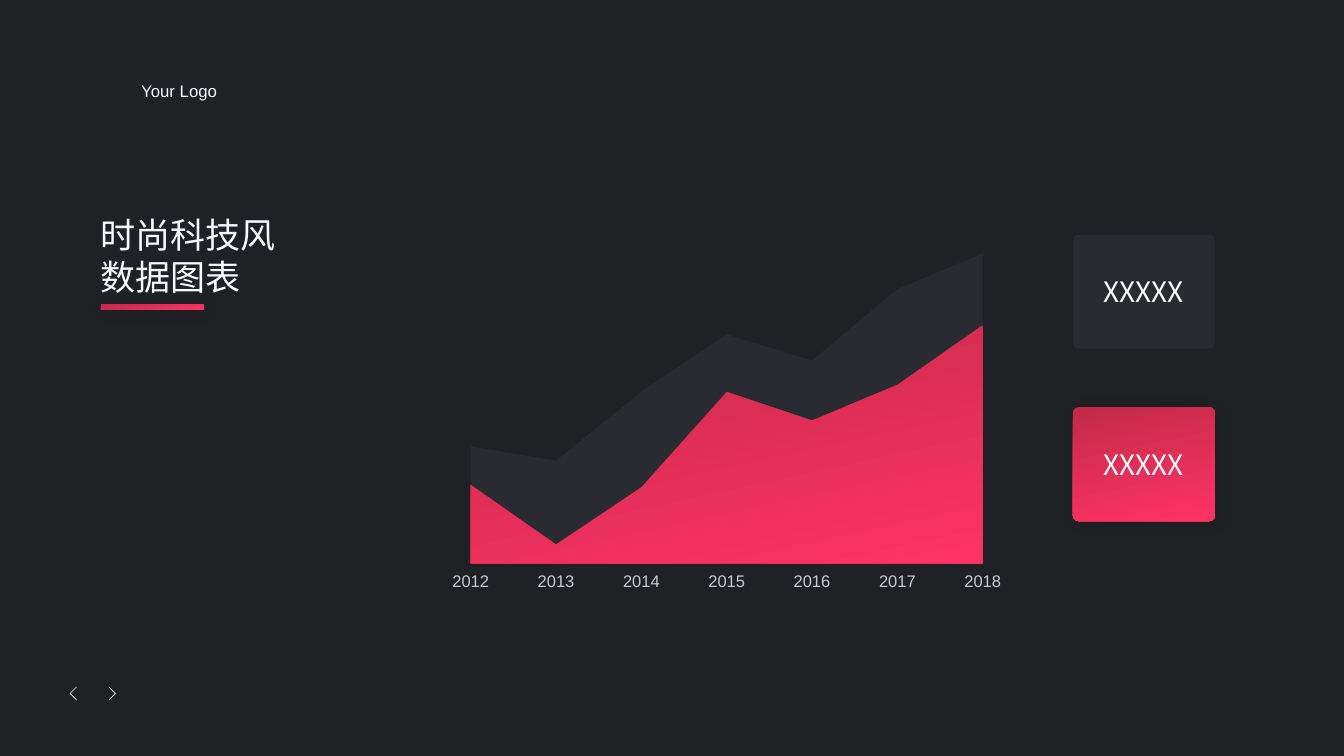
"""Build a dark slide with a stacked area chart, a title and two legend cards."""
from lxml import etree
from pptx import Presentation
from pptx.chart.data import CategoryChartData
from pptx.dml.color import RGBColor
from pptx.enum.chart import XL_CHART_TYPE as CT, XL_TICK_LABEL_POSITION as TLP, XL_TICK_MARK as TM
from pptx.enum.shapes import MSO_SHAPE as SHAPE
from pptx.enum.text import MSO_ANCHOR, MSO_AUTO_SIZE, PP_ALIGN
from pptx.oxml import parse_xml
from pptx.oxml.ns import nsdecls, qn
from pptx.util import Inches, Pt

INK, WHITE, PANEL = "F6F9FF", "FFFFFF", "292B31"
RED = ("C32B48", "FF3266")
CJK = "Noto Sans CJK SC"
SHADOW = (
    f'<a:effectLst {nsdecls("a")}><a:outerShdw blurRad="{Pt(10)}" dist="{Pt(2)}" dir="2700000">'
    '<a:srgbClr val="000000"><a:alpha val="10000"/></a:srgbClr></a:outerShdw></a:effectLst>'
)


def paint(fill, color):
    """Fill with one hex colour, or with a gradient between two."""
    if isinstance(color, str):
        fill.solid()
        fill.fore_color.rgb = RGBColor.from_string(color)
        return
    fill.gradient()
    fill.gradient_angle = 282
    for stop, shade in zip(fill.gradient_stops, color):
        stop.color.rgb = RGBColor.from_string(shade)


def write(tf, lines, size, font, color, align=PP_ALIGN.LEFT):
    """Write lines as paragraphs in a frame without margins."""
    tf.margin_left = tf.margin_right = tf.margin_top = tf.margin_bottom = 0
    for i, line in enumerate(lines):
        p = tf.add_paragraph() if i else tf.paragraphs[0]
        p.alignment = align
        r = p.add_run()
        r.text = line
        p.font.size = Pt(size)
        p.font.name = font
        p.font.color.rgb = RGBColor.from_string(color)
        if font == CJK:
            ea = etree.SubElement(r._r.get_or_add_rPr(), qn("a:ea"))
            ea.set("typeface", font)


prs = Presentation()
prs.slide_width, prs.slide_height = Inches(13.33), Inches(7.5)
s = prs.slides.add_slide(prs.slide_layouts[6])
paint(s.background.fill, "1F2125")

for tail_x, tip_x, thickness in ((0.76, 0.69, 0.01), (1.08, 1.15, -0.01)):
    outline = [(tip_x, 6.88), (tail_x, 6.95), (tail_x, 6.94),
               (tip_x + thickness, 6.88), (tail_x, 6.82)]
    fb = s.shapes.build_freeform(Inches(tail_x), Inches(6.81), scale=1.0)
    fb.add_line_segments([(Inches(x), Inches(y)) for x, y in outline[:1] + outline[1:]])
    sp = fb.convert_to_shape()
    sp.shadow.inherit = False
    paint(sp.fill, INK)
    sp.line.fill.background()

for box, lines, size, font, wrap in (
    ((1.4, 0.8, 0.79, 0.2), ["Your Logo"], 12, "Arial", False),
    ((1, 2.12, 1.87, 0.84), ["时尚科技风", "数据图表"], 25, CJK, True),
):
    tf = s.shapes.add_textbox(*map(Inches, box)).text_frame
    tf.word_wrap = wrap
    tf.auto_size = MSO_AUTO_SIZE.SHAPE_TO_FIT_TEXT
    write(tf, lines, size, font, INK)

for kind, box, color, label in (
    (SHAPE.RECTANGLE, (1, 3.02, 1.02, 0.05), RED, None),
    (SHAPE.ROUNDED_RECTANGLE, (10.64, 4.04, 1.41, 1.13), RED, "XXXXX"),
    (SHAPE.ROUNDED_RECTANGLE, (10.64, 2.33, 1.41, 1.13), PANEL, "XXXXX"),
):
    sp = s.shapes.add_shape(kind, *map(Inches, box))
    paint(sp.fill, color)
    sp.line.fill.background()
    if color == RED:
        sp._element.spPr.append(parse_xml(SHADOW))
    else:
        sp.shadow.inherit = False
    if label:
        sp.adjustments[0] = 0.05
        sp.text_frame.vertical_anchor = MSO_ANCHOR.MIDDLE
        write(sp.text_frame, [label], 20, CJK, WHITE, PP_ALIGN.CENTER)

data = CategoryChartData()
data.categories = [str(year) for year in range(2012, 2019)]
data.add_series("Series 1", (33, 8, 32, 72, 60, 75, 100))
data.add_series("Series 2", (16, 35, 40, 24, 25, 40, 30))
area = map(Inches, (4.42, 1.85, 5.51, 4.06))
chart = s.shapes.add_chart(CT.AREA_STACKED, *area, data).chart
chart.has_title = chart.has_legend = False
chart.font.size = Pt(10)
chart.font.name = "Arial"
plot = chart.plots[0]
plot.vary_by_categories = False
for series, color in zip(plot.series, (RED, PANEL)):
    paint(series.format.fill, color)
    series.format.line.fill.background()

years = chart.category_axis
years.has_major_gridlines = False
years.major_tick_mark = years.minor_tick_mark = TM.NONE
years.tick_label_position = TLP.LOW
years.format.line.fill.background()
font = years.tick_labels.font
font.size = Pt(12)
font.name = "Arial"
font.color.rgb = RGBColor.from_string("C8CBD1")

values = chart.value_axis
values.visible = values.has_major_gridlines = False
values.minimum_scale, values.maximum_scale, values.major_unit = 0, 150, 38
for cross in values._element.iter(qn("c:crossBetween")):
    cross.set("val", "midCat")

plot_area = chart._chartSpace.chart.plotArea
for old in plot_area.findall(qn("c:layout")):
    plot_area.remove(old)
layout = parse_xml(f'<c:layout {nsdecls("c")}><c:manualLayout/></c:layout>')
for tag, val in (("layoutTarget", "inner"), ("xMode", "edge"), ("yMode", "edge"),
                 ("x", "0.046"), ("y", "0.047"), ("w", "0.938"), ("h", "0.874")):
    etree.SubElement(layout[0], qn(f"c:{tag}")).set("val", val)
plot_area.insert(0, layout)

prs.save("out.pptx")
